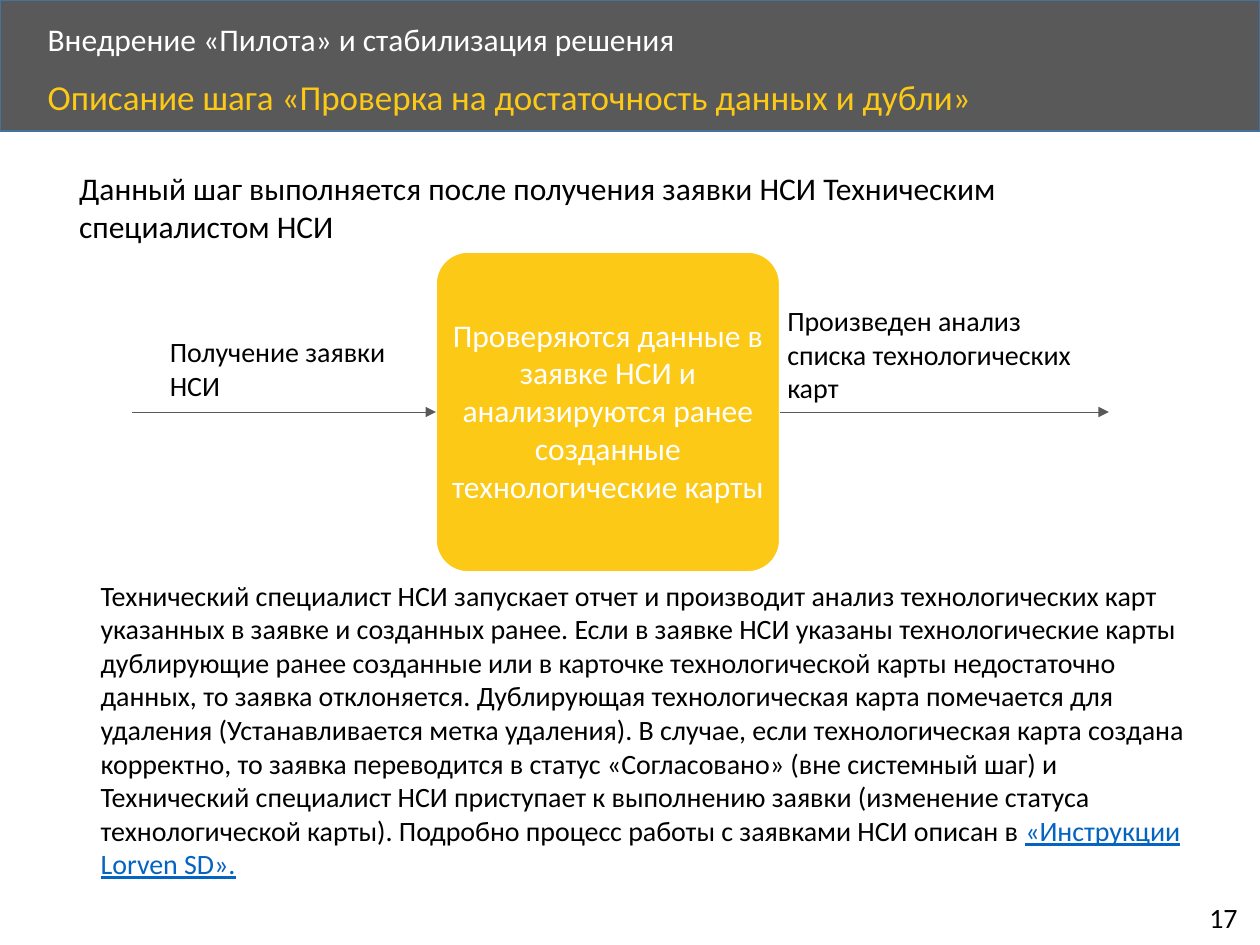
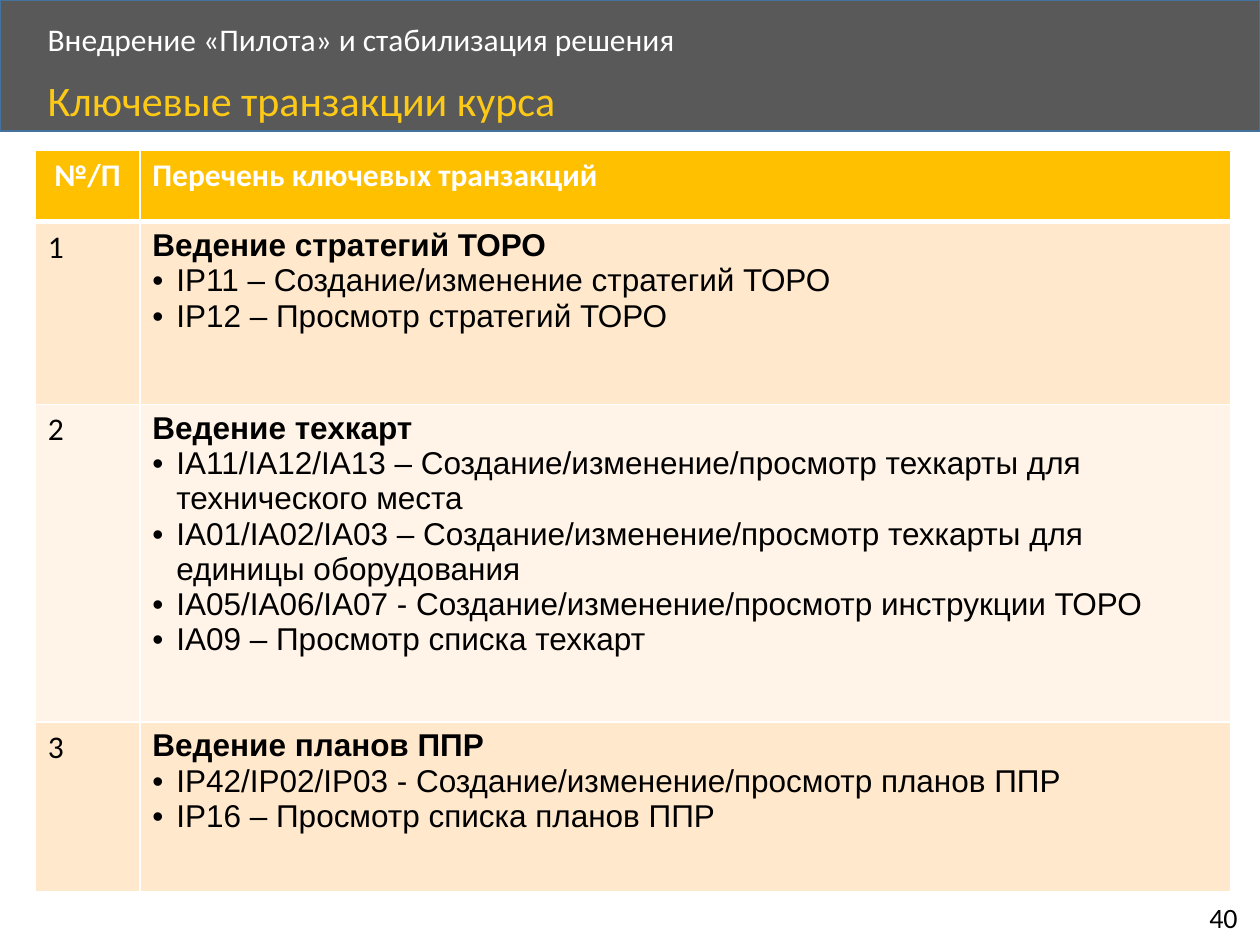
import pptx
import pptx.dml.color
import pptx.enum.shapes
import pptx.enum.text
import pptx.oxml.ns
import pptx.util
from lxml import etree

deck = pptx.Presentation()
deck.slide_width = pptx.util.Inches(10)
deck.slide_height = pptx.util.Inches(7.5)

# Grid: 100 columns by 75 rows
col = deck.slide_width / 100
row = deck.slide_height / 75

# Shared style
rgb = pptx.dml.color.RGBColor.from_string
qn = pptx.oxml.ns.qn
align = pptx.enum.text.PP_ALIGN
anchor = pptx.enum.text.MSO_ANCHOR
kinds = pptx.enum.shapes.MSO_SHAPE
WHITE, BLACK, GREY, GOLD = "FFFFFF", "000000", "595959", "FCC917"
HEAD, BLUE, LINK = "FFC000", "43739E", "0563C1"
BANDS = ["FFE8CC", "FFF4E7"]


def place(left, top, wide, high):
    return [int(left * col), int(top * row), int(wide * col), int(high * row)]


def write(para, words, size, color, face="Calibri", bold=False):
    run = para.add_run()
    run.text = words
    run.font.size = pptx.util.Pt(size)
    run.font.name = face
    run.font.bold = bold
    run.font.color.rgb = rgb(color)
    return run


# Slides with band, section name, title and page number
pages = [
    ("Описание шага «Проверка на достаточность данных и дубли»", 20, "17"),
    ("Ключевые транзакции курса", 24, "40"),
]
slides = []
for title, size, page in pages:
    slide = deck.slides.add_slide(deck.slide_layouts[6])
    slides.append(slide)
    band = slide.shapes.add_shape(kinds.RECTANGLE, *place(0, 0, 100, 10.4))
    band.shadow.inherit = False
    band.fill.solid()
    band.fill.fore_color.rgb = rgb(GREY)
    band.line.color.rgb = rgb(BLUE)
    band.line.width = pptx.util.Pt(1)
    heads = [
        ((2.8, 1.4, 80.7, 3.8), "Внедрение «Пилота» и стабилизация решения", 18, WHITE),
        ((2.8, 5.9, 86.7, 4.5), title, size, GOLD),
    ]
    for spot, words, points, color in heads:
        frame = slide.shapes.add_textbox(*place(*spot)).text_frame
        frame.word_wrap = True
        frame.vertical_anchor = anchor.MIDDLE if color == WHITE else anchor.TOP
        frame.paragraphs[0].line_spacing = 0.9
        write(frame.paragraphs[0], words, points, color)
    frame = slide.shapes.add_textbox(*place(95, 71, 4.6, 3.7)).text_frame
    frame.word_wrap = False
    frame.auto_size = pptx.enum.text.MSO_AUTO_SIZE.SHAPE_TO_FIT_TEXT
    write(frame.paragraphs[0], page, 16, BLACK)

flow, keys = slides

# Step box
step = flow.shapes.add_shape(kinds.ROUNDED_RECTANGLE, *place(34.6, 20, 27.3, 25.4))
step.adjustments[0] = 0.1
step.shadow.inherit = False
step.fill.solid()
step.fill.fore_color.rgb = rgb(GOLD)
step.line.color.rgb = rgb(WHITE)
step.line.width = pptx.util.Pt(1)

# Arrows into and out of the step
for start, end in [(10.5, 34.6), (61.9, 88)]:
    left, top, wide, high = place(start, 32.7, end - start, 0)
    arrow = flow.shapes.add_connector(
        pptx.enum.shapes.MSO_CONNECTOR.STRAIGHT, left, top, left + wide, top)
    if start < 34.6:
        arrow.end_connect(step, 1)
    else:
        arrow.begin_connect(step, 3)
    arrow.line.color.rgb = rgb(GREY)
    arrow.line.width = pptx.util.Pt(0.5)
    shape = arrow.element.spPr
    etree.SubElement(shape.find(qn("a:ln")), qn("a:tailEnd"), type="triangle")
    etree.SubElement(shape, qn("a:effectLst"))

# Labels around the step
labels = [
    ((5.3, 12.9, 88.8, 7.1), 18, BLACK,
     "Данный шаг выполняется после получения заявки НСИ Техническим специалистом НСИ"),
    ((12.5, 26.1, 23.3, 6.4), 16, BLACK, "Получение заявки НСИ"),
    ((34.6, 19.8, 27.3, 25.5), 18, WHITE,
     "Проверяются данные в заявке НСИ и анализируются ранее созданные "
     "технологические карты"),
    ((61.5, 23.6, 24.7, 9.1), 16, BLACK,
     "Произведен анализ списка технологических карт"),
    ((7, 45.4, 88.8, 25.2), 16, BLACK,
     "Технический специалист НСИ запускает отчет и производит анализ "
     "технологических карт указанных в заявке и созданных ранее. Если в заявке "
     "НСИ указаны технологические карты дублирующие ранее созданные или в "
     "карточке технологической карты недостаточно данных, то заявка "
     "отклоняется. Дублирующая технологическая карта помечается для удаления "
     "(Устанавливается метка удаления). В случае, если технологическая карта "
     "создана корректно, то заявка переводится в статус «Согласовано» (вне "
     "системный шаг) и Технический специалист НСИ приступает к выполнению "
     "заявки (изменение статуса технологической карты). Подробно процесс "
     "работы c заявками НСИ описан в "),
]
for spot, size, color, words in labels:
    frame = flow.shapes.add_textbox(*place(*spot)).text_frame
    frame.word_wrap = True
    para = frame.paragraphs[0]
    if color == WHITE:
        frame.vertical_anchor = anchor.MIDDLE
        para.alignment = align.CENTER
    write(para, words, size, color)
write(para, "«Инструкции Lorven SD».", 16, LINK).font.underline = True

# Table of key transactions
groups = [
    ("Ведение стратегий ТОРО", [
        "IP11 – Создание/изменение стратегий ТОРО",
        "IP12 – Просмотр стратегий ТОРО"]),
    ("Ведение техкарт", [
        "IA11/IA12/IA13 – Создание/изменение/просмотр техкарты для технического места",
        "IA01/IA02/IA03 – Создание/изменение/просмотр техкарты для единицы оборудования",
        "IA05/IA06/IA07 - Создание/изменение/просмотр инструкции ТОРО",
        "IA09 – Просмотр списка техкарт"]),
    ("Ведение планов ППР", [
        "IP42/IP02/IP03 - Создание/изменение/просмотр планов ППР",
        "IP16 – Просмотр списка планов ППР"]),
]
table = keys.shapes.add_table(4, 2, *place(2.8, 11.9, 94.9, 58.9)).table
table.horz_banding = False
for num, wide in enumerate([8.3, 86.6]):
    table.columns[num].width = int(wide * col)
for num, high in enumerate([5.7, 14.5, 25.2, 13.5]):
    table.rows[num].height = int(high * row)

# Cell borders and fills
for num in range(4):
    for cell in table.rows[num].cells:
        props = cell._tc.get_or_add_tcPr()
        for side in "LRTB":
            thick = 3 if (num, side) in [(0, "B"), (1, "T")] else 1
            edge = etree.SubElement(
                props, qn("a:ln" + side), w=str(pptx.util.Pt(thick)))
            fill = etree.SubElement(edge, qn("a:solidFill"))
            etree.SubElement(fill, qn("a:srgbClr"), val=WHITE)
        cell.fill.solid()
        cell.fill.fore_color.rgb = rgb(BANDS[(num - 1) % 2] if num else HEAD)

# Cell text
for num, words in enumerate(["№/П", "Перечень ключевых транзакций"]):
    para = table.cell(0, num).text_frame.paragraphs[0]
    para.alignment = align.LEFT if num else align.CENTER
    write(para, words, 18, WHITE, bold=True)
hang = pptx.util.Inches(0.19)
for num, (name, codes) in enumerate(groups, 1):
    write(table.cell(num, 0).text_frame.paragraphs[0], str(num), 18, BLACK)
    frame = table.cell(num, 1).text_frame
    write(frame.paragraphs[0], name, 18, BLACK, "Arial", True)
    for code in codes:
        para = frame.add_paragraph()
        props = para._p.get_or_add_pPr()
        props.set("marL", str(hang))
        props.set("indent", str(-hang))
        etree.SubElement(props, qn("a:buFont"), typeface="Arial")
        etree.SubElement(props, qn("a:buChar"), char="•")
        write(para, code, 18, BLACK, "Arial")

deck.save("out.pptx")
